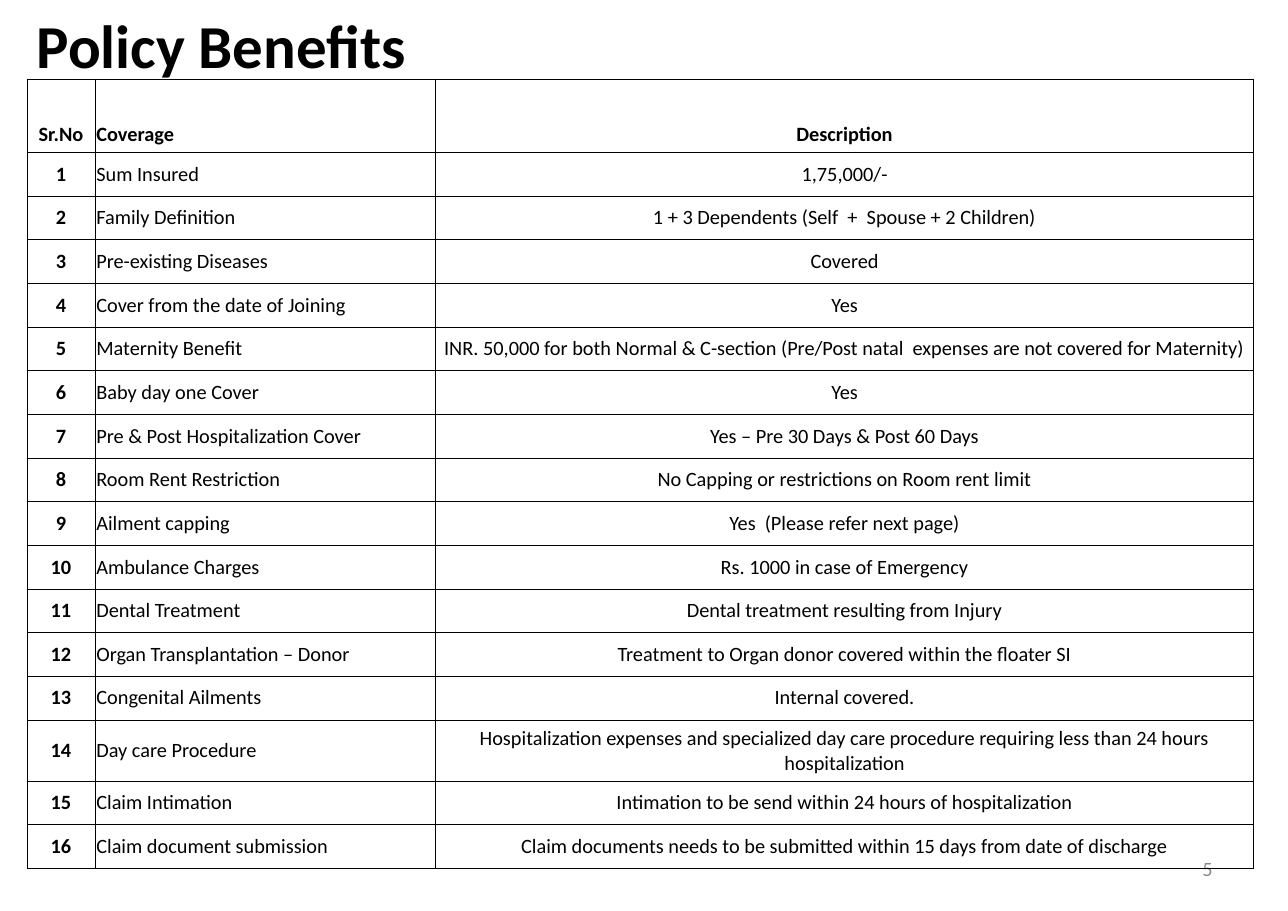
from dataclasses import dataclass

from lxml.etree import SubElement
from pptx import Presentation
from pptx.dml.color import RGBColor
from pptx.enum.text import MSO_ANCHOR, MSO_AUTO_SIZE, PP_ALIGN
from pptx.oxml.ns import qn
from pptx.slide import Slide
from pptx.table import Table, _Cell
from pptx.text.text import TextFrame
from pptx.util import Inches, Pt


@dataclass(frozen=True)
class Theme:
    font: str = "Calibri"
    ink: str = "000000"
    muted: str = "898989"
    title_size: int = 36
    body_size: int = 12
    border_width: float = 0.45


@dataclass(frozen=True)
class Benefit:
    coverage: str
    description: str
    extra_height: float = 0


THEME = Theme()
TABLE_LEFT, TABLE_TOP, TABLE_HEIGHT = 0.22, 0.65, 6.29
COLUMN_WIDTHS = (0.56, 2.79, 6.71)
COLUMN_ALIGNS = (PP_ALIGN.CENTER, PP_ALIGN.LEFT, PP_ALIGN.CENTER)
HEADINGS = ("Sr.No", "Coverage", "Description")
HEADER_HEIGHT = 0.51
HEADER_SPACING = 2.5

BENEFITS = (
    Benefit("Sum Insured", "1,75,000/-"),
    Benefit("Family Definition", "1 + 3 Dependents (Self  +  Spouse + 2 Children)"),
    Benefit("Pre-existing Diseases", "Covered"),
    Benefit("Cover from the date of Joining", "Yes"),
    Benefit(
        "Maternity Benefit",
        "INR. 50,000 for both Normal & C-section "
        "(Pre/Post natal  expenses are not covered for Maternity)",
    ),
    Benefit("Baby day one Cover", "Yes"),
    Benefit("Pre & Post Hospitalization Cover", "Yes – Pre 30 Days & Post 60 Days"),
    Benefit("Room Rent Restriction", "No Capping or restrictions on Room rent limit"),
    Benefit("Ailment capping", "Yes  (Please refer next page)"),
    Benefit("Ambulance Charges", "Rs. 1000 in case of Emergency"),
    Benefit("Dental Treatment", "Dental treatment resulting from Injury"),
    Benefit(
        "Organ Transplantation – Donor",
        "Treatment to Organ donor covered within the floater SI",
    ),
    Benefit("Congenital Ailments", "Internal covered."),
    Benefit(
        "Day care Procedure",
        "Hospitalization expenses and specialized day care procedure "
        "requiring less than 24 hours hospitalization",
        extra_height=0.05,
    ),
    Benefit("Claim Intimation", "Intimation to be send within 24 hours of hospitalization"),
    Benefit(
        "Claim document submission",
        "Claim documents needs to be submitted within 15 days from date of discharge",
    ),
)


def write_text(
    tf: TextFrame,
    text: str,
    *,
    size: int = THEME.body_size,
    color: str = THEME.ink,
    bold: bool = False,
    align: PP_ALIGN = PP_ALIGN.LEFT,
    spacing: float = 1.0,
) -> None:
    tf.word_wrap = True
    p = tf.paragraphs[0]
    p.alignment = align
    p.line_spacing = spacing
    r = p.add_run()
    r.text = text
    r.font.name = THEME.font
    r.font.size = Pt(size)
    r.font.bold = bold
    r.font.color.rgb = RGBColor.from_string(color)


def format_cell(cell: _Cell) -> None:
    cell.vertical_anchor = MSO_ANCHOR.MIDDLE
    cell.margin_left = cell.margin_right = Inches(0.01)
    cell.margin_top = cell.margin_bottom = Inches(0.05)
    tc_pr = cell._tc.get_or_add_tcPr()
    for side in ("a:lnL", "a:lnR", "a:lnT", "a:lnB"):
        ln = SubElement(tc_pr, qn(side), w=str(int(Pt(THEME.border_width))))
        fill = SubElement(ln, qn("a:solidFill"))
        SubElement(fill, qn("a:srgbClr"), val=THEME.ink)
    cell.fill.background()


def fill_row(table: Table, row: int, texts: tuple[str, ...], height: float) -> None:
    is_header = row == 0
    table.rows[row].height = Inches(height)
    for col, (text, align) in enumerate(zip(texts, COLUMN_ALIGNS)):
        cell = table.cell(row, col)
        format_cell(cell)
        write_text(
            cell.text_frame,
            text,
            bold=is_header or col == 0,
            align=align,
            spacing=HEADER_SPACING if is_header else 1.0,
        )


def add_title(s: Slide, text: str) -> None:
    sp = s.shapes.title
    sp.left, sp.top, sp.width, sp.height = map(Inches, (0.2, 0, 9.51, 0.73))
    tf = sp.text_frame
    tf.auto_size = MSO_AUTO_SIZE.NONE
    tf.vertical_anchor = MSO_ANCHOR.MIDDLE
    write_text(tf, text, size=THEME.title_size, bold=True)


def add_page_number(s: Slide, number: int) -> None:
    sp = s.shapes.add_textbox(*map(Inches, (7.57, 6.92, 2.47, 0.4)))
    tf = sp.text_frame
    tf.vertical_anchor = MSO_ANCHOR.MIDDLE
    write_text(tf, str(number), color=THEME.muted, align=PP_ALIGN.RIGHT)


def add_benefits_table(s: Slide) -> None:
    table = s.shapes.add_table(
        len(BENEFITS) + 1,
        len(HEADINGS),
        *map(Inches, (TABLE_LEFT, TABLE_TOP, sum(COLUMN_WIDTHS), TABLE_HEIGHT)),
    ).table
    table.first_row = table.horz_banding = False
    for column, width in zip(table.columns, COLUMN_WIDTHS):
        column.width = Inches(width)

    extra = sum(b.extra_height for b in BENEFITS)
    row_height = (TABLE_HEIGHT - HEADER_HEIGHT - extra) / len(BENEFITS)
    fill_row(table, 0, HEADINGS, HEADER_HEIGHT)
    for number, b in enumerate(BENEFITS, start=1):
        texts = (str(number), b.coverage, b.description)
        fill_row(table, number, texts, row_height + b.extra_height)


def main() -> None:
    prs = Presentation()
    prs.slide_width, prs.slide_height = Inches(10.56), Inches(7.47)
    s = prs.slides.add_slide(prs.slide_layouts[5])
    add_title(s, "Policy Benefits")
    add_page_number(s, 5)
    add_benefits_table(s)
    prs.save("out.pptx")


if __name__ == "__main__":
    main()
